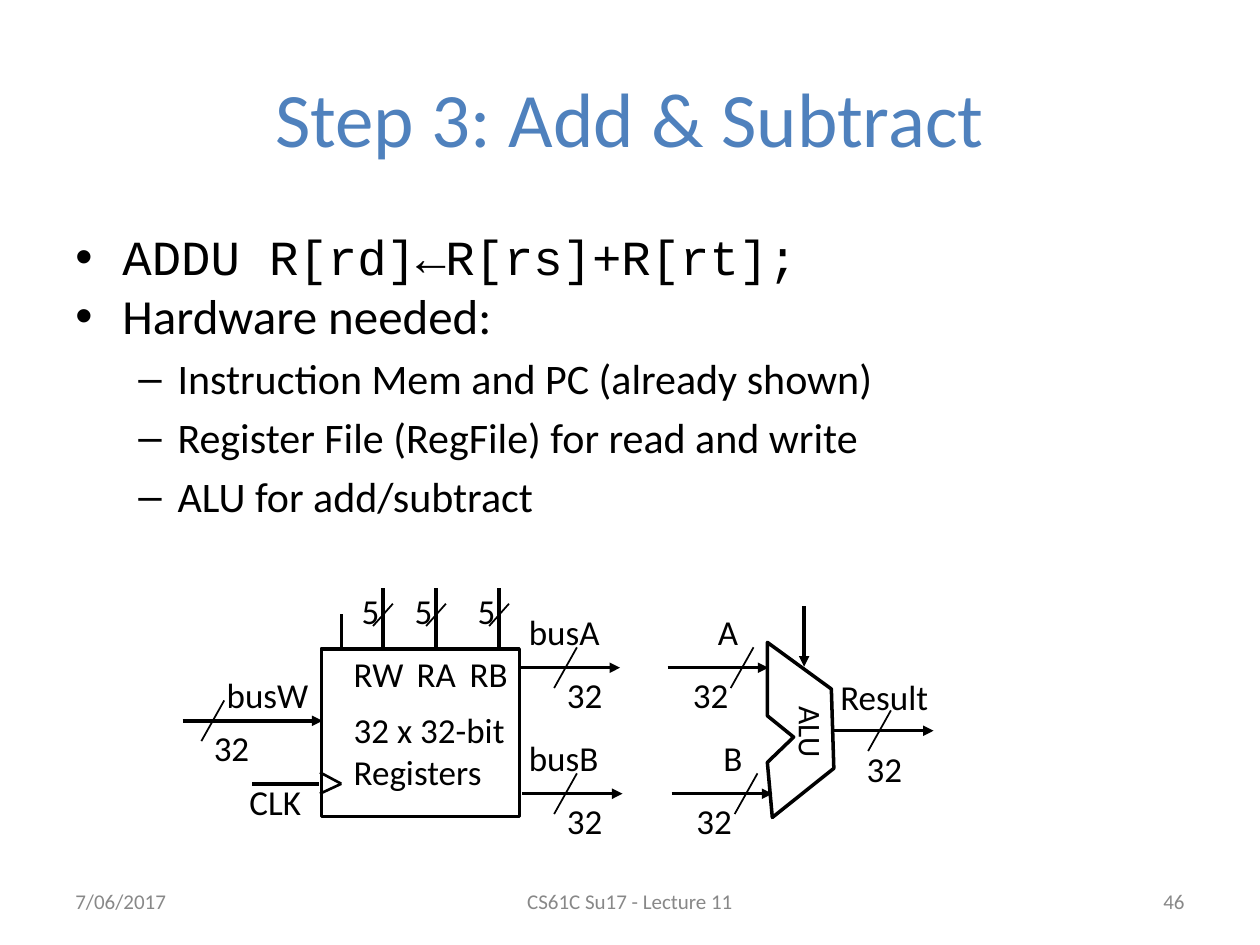
from dataclasses import dataclass
from typing import NamedTuple

import lxml.etree
import pptx
import pptx.dml.color
import pptx.enum.shapes
import pptx.enum.text
import pptx.oxml.ns
import pptx.util

Cm = pptx.util.Cm
Pt = pptx.util.Pt
qn = pptx.oxml.ns.qn
Align = pptx.enum.text.PP_ALIGN
Anchor = pptx.enum.text.MSO_ANCHOR


@dataclass(frozen=True)
class Theme:
    ink: str = "000000"
    blue: str = "4F81BD"
    gray: str = "888888"
    sans: str = "Calibri"
    mono: str = "Courier New"
    dot: str = "Arial"
    title: float = 44
    body: float = 28
    point: float = 24
    label: float = 20
    unit: float = 18
    foot: float = 12
    thick: float = 2
    mid: float = 1.5
    thin: float = 1


THEME = Theme()


class Item(NamedTuple):
    text: str
    size: float
    font: str = THEME.sans
    level: int = 0


class Bus(NamedTuple):
    name: str
    left: float
    right: float
    y: float
    cut: float
    name_x: float
    name_w: float
    num_x: float
    rise: float = 1.27
    drop: float = 0
    num_w: float = 1.22
    align: Align = Align.LEFT


class Port(NamedTuple):
    name: str
    x: float
    name_x: float
    name_w: float


class Foot(NamedTuple):
    text: str
    x: float
    width: float
    align: Align


ITEMS = [
    Item("ADDU R[rd]←R[rs]+R[rt];", THEME.body, THEME.mono),
    Item("Hardware needed:", THEME.body),
    Item("Instruction Mem and PC (already shown)", THEME.point, level=1),
    Item("Register File (RegFile) for read and write", THEME.point, level=1),
    Item("ALU for add/subtract", THEME.point, level=1),
]
BUSES = [
    Bus("busW", 3.68, 6.5, 14.53, 4.29, 4.32, 2.18, 4.06, rise=1.07),
    Bus("busA", 10.46, 12.5, 13.46, 11.4, 10.41, 1.98, 11.18),
    Bus("busB", 10.52, 12.55, 16, 11.4, 10.41, 1.96, 11.18),
    Bus("A", 13.46, 15.49, 13.46, 14.96, 14.22, 0.91, 13.72, align=Align.RIGHT),
    Bus("B", 13.54, 15.57, 16, 15.04, 14.33, 0.89, 13.79, align=Align.RIGHT),
    Bus("Result", 16.79, 18.82, 14.73, 17.73, 16.69, 2.36, 17.22,
        rise=1.24, drop=0.21, num_w=1.52),
]
PORTS = [
    Port("RW", 7.72, 6.88, 1.52),
    Port("RA", 8.79, 8.15, 1.32),
    Port("RB", 10.06, 9.22, 1.27),
]
FEET = [
    Foot("7/06/2017", 1.27, 5.93, Align.LEFT),
    Foot("CS61C Su17 - Lecture 11", 8.68, 8.04, Align.CENTER),
    Foot("46", 18.2, 5.93, Align.RIGHT),
]
ALU = [(15.47, 14.1), (15.47, 12.95), (16.76, 13.89), (16.81, 15.49),
       (15.57, 16.48), (15.47, 15.37), (16, 14.86), (15.47, 14.43)]


def tint(code: str) -> pptx.dml.color.RGBColor:
    return pptx.dml.color.RGBColor.from_string(code)


def add_mark(para, level: int) -> None:
    props = para._p.get_or_add_pPr()
    left, hang = [(0.95, 0.95), (2.06, 0.79)][level]
    props.set("marL", str(Cm(left)))
    props.set("indent", str(-Cm(hang)))
    shade = lxml.etree.SubElement(props, qn("a:buClr"))
    lxml.etree.SubElement(shade, qn("a:srgbClr"), val=THEME.ink)
    lxml.etree.SubElement(props, qn("a:buFont"), typeface=THEME.dot)
    lxml.etree.SubElement(props, qn("a:buChar"), char="•–"[level])


def add_text(slide, text: str | list[Item], x: float, y: float, width: float,
             height: float = 1.1, *, size: float = THEME.label,
             color: str = THEME.ink, align: Align = Align.LEFT,
             anchor: Anchor = Anchor.TOP, wrap: bool = False,
             turn: float = 0) -> None:
    box = slide.shapes.add_textbox(Cm(x), Cm(y), Cm(width), Cm(height))
    box.rotation = turn
    frame = box.text_frame
    frame.word_wrap = wrap
    frame.vertical_anchor = anchor
    marked = not isinstance(text, str)
    items = text if marked else [Item(line, size) for line in text.split("\n")]
    for index, item in enumerate(items):
        para = frame.add_paragraph() if index else frame.paragraphs[0]
        para.alignment = align
        if marked:
            para.level = item.level
            add_mark(para, item.level)
        if item.level:
            para.space_before = Pt(4.8)
        run = para.add_run()
        run.text = item.text
        run.font.size = Pt(item.size)
        run.font.name = item.font
        run.font.color.rgb = tint(color)


def add_line(slide, x1: float, y1: float, x2: float, y2: float,
             width: float = THEME.thick, arrow: bool = False) -> None:
    kind = pptx.enum.shapes.MSO_CONNECTOR.STRAIGHT
    line = slide.shapes.add_connector(kind, Cm(x1), Cm(y1), Cm(x2), Cm(y2))
    line.line.width = Pt(width)
    line.line.color.rgb = tint(THEME.ink)
    if arrow:
        lxml.etree.SubElement(line.line._get_or_add_ln(), qn("a:tailEnd"), type="triangle")
    lxml.etree.SubElement(line._element.spPr, qn("a:effectLst"))


def set_edge(shape) -> None:
    shape.shadow.inherit = False
    shape.fill.background()
    shape.line.color.rgb = tint(THEME.ink)
    shape.line.width = Pt(THEME.thick)


def add_bus(slide, bus: Bus) -> None:
    add_line(slide, bus.left, bus.y, bus.right, bus.y, arrow=True)
    add_line(slide, bus.cut + 0.23, bus.y - 0.41, bus.cut - 0.23, bus.y + 0.41, THEME.thin)
    add_text(slide, "32", bus.num_x, bus.y + bus.drop, bus.num_w)
    add_text(slide, bus.name, bus.name_x, bus.y - bus.rise, bus.name_w, align=bus.align)


def add_port(slide, port: Port) -> None:
    add_line(slide, port.x, 11.86, port.x, 13.06)
    add_line(slide, port.x - 0.2, 12.62, port.x + 0.2, 12.17, THEME.thin)
    add_text(slide, "5", port.x - 0.68, 11.76, 0.86)
    add_text(slide, port.name, port.name_x, 13.03, port.name_w)


def add_regs(slide) -> None:
    kind = pptx.enum.shapes.MSO_SHAPE.RECTANGLE
    set_edge(slide.shapes.add_shape(kind, Cm(6.48), Cm(13.08), Cm(3.99), Cm(3.38)))
    add_text(slide, "32 x 32-bit\nRegisters", 6.88, 14.15, 3.58, 1.96)
    add_text(slide, "CLK", 4.78, 15.6, 1.55)
    add_line(slide, 6.88, 13.08, 6.88, 12.37)
    add_line(slide, 6.43, 15.8, 5.08, 15.8)
    for y in (15.57, 16):
        add_line(slide, 6.45, y, 6.88, 15.8, THEME.mid)
    for port in PORTS:
        add_port(slide, port)


def add_alu(slide) -> None:
    start, *rest = [(Cm(x), Cm(y)) for x, y in ALU]
    path = slide.shapes.build_freeform(*start)
    path.add_line_segments(rest, close=True)
    set_edge(path.convert_to_shape())
    add_text(slide, "ALU", 15.57, 14.27, 1.57, 1.02, size=THEME.unit, turn=90)
    add_line(slide, 16.21, 12.22, 16.21, 13.44, arrow=True)


def main() -> None:
    deck = pptx.Presentation()
    deck.slide_width, deck.slide_height = Cm(25.4), Cm(19.05)
    slide = deck.slides.add_slide(deck.slide_layouts[6])
    add_text(slide, "Step 3: Add & Subtract", 1.27, 0.76, 22.86, 3.18, size=THEME.title,
             color=THEME.blue, align=Align.CENTER, anchor=Anchor.MIDDLE, wrap=True)
    add_text(slide, ITEMS, 1.27, 4.45, 22.86, 13.72, wrap=True)
    add_regs(slide)
    add_alu(slide)
    for bus in BUSES:
        add_bus(slide, bus)
    for foot in FEET:
        add_text(slide, foot.text, foot.x, 17.65, foot.width, 1.02, size=THEME.foot,
                 color=THEME.gray, align=foot.align, anchor=Anchor.MIDDLE, wrap=True)
    deck.save("out.pptx")


if __name__ == "__main__":
    main()
